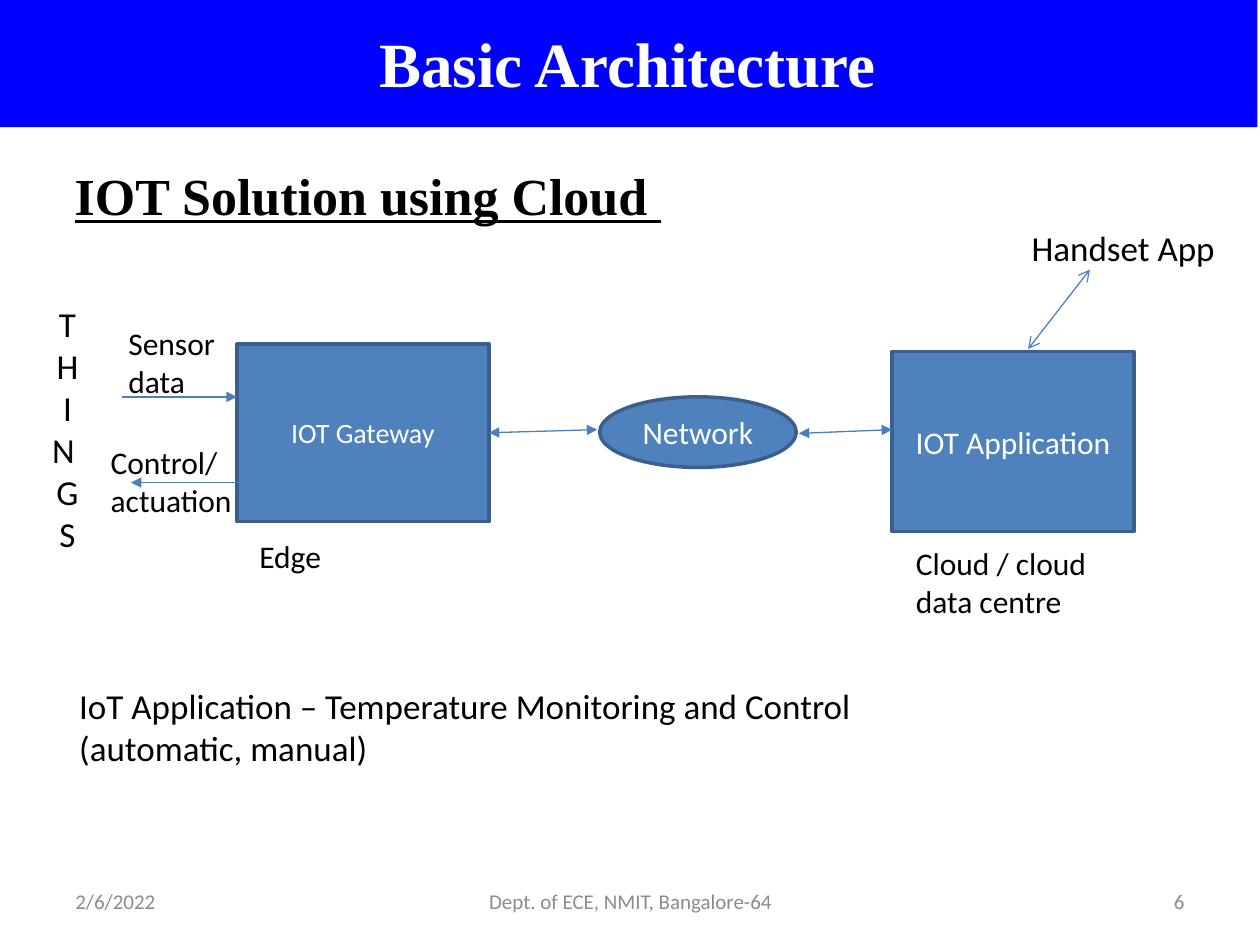
from lxml import etree
from pptx import Presentation
from pptx.dml.color import RGBColor
from pptx.enum import shapes, text
from pptx.oxml.ns import qn
from pptx.util import Inches, Pt

BLUE = RGBColor(0x4F, 0x81, 0xBD)
BLUE_EDGE = RGBColor(0x3A, 0x5F, 0x8C)
ARROW_BLUE = RGBColor(0x4B, 0x7E, 0xBC)
BANNER_BLUE = RGBColor(0x00, 0x00, 0xFF)
WHITE = RGBColor(0xFF, 0xFF, 0xFF)
BLACK = RGBColor(0x00, 0x00, 0x00)
GREY = RGBColor(0x8C, 0x8C, 0x8C)
SERIF, SANS = "Times New Roman", "Calibri"
LEFT, CENTER, RIGHT = text.PP_ALIGN.LEFT, text.PP_ALIGN.CENTER, text.PP_ALIGN.RIGHT
TOP, MIDDLE = text.MSO_ANCHOR.TOP, text.MSO_ANCHOR.MIDDLE
RECT, OVAL = shapes.MSO_SHAPE.RECTANGLE, shapes.MSO_SHAPE.OVAL


def place(sp, box):
    sp.left, sp.top, sp.width, sp.height = (Inches(v) for v in box)


def write(sp, lines, size, color=BLACK, align=LEFT, anchor=TOP, font=SANS, bold=False, wrap=True):
    tf = sp.text_frame
    tf.text = lines
    tf.word_wrap = wrap
    tf.auto_size = text.MSO_AUTO_SIZE.NONE
    tf.vertical_anchor = anchor
    for p in tf.paragraphs:
        p.alignment = align
        p.font.size, p.font.name, p.font.bold = Pt(size), font, bold
        p.font.color.rgb = color


def add_label(slide, box, lines, size, **style):
    sp = slide.shapes.add_textbox(*(Inches(v) for v in box))
    write(sp, lines, size, **style)


def paint_node(sp, name, size):
    sp.fill.solid()
    sp.fill.fore_color.rgb = BLUE
    sp.line.color.rgb = BLUE_EDGE
    sp.line.width = Pt(2)
    write(sp, name, size, WHITE, CENTER, MIDDLE)


def add_node(slide, kind, box, name, size):
    sp = slide.shapes.add_shape(kind, *(Inches(v) for v in box))
    sp.shadow.inherit = False
    paint_node(sp, name, size)


def add_arrow(slide, start, end, tip="triangle", both=True, color=ARROW_BLUE):
    """Line with a tip at its end and, if both, at its start too."""
    cx = slide.shapes.add_connector(shapes.MSO_CONNECTOR.STRAIGHT,
                                    *(Inches(v) for v in (*start, *end)))
    cx.line.color.rgb = color
    cx.line.width = Pt(0.75)
    ln = cx.line._get_or_add_ln()
    for tag in ("a:headEnd", "a:tailEnd") if both else ("a:tailEnd",):
        etree.SubElement(ln, qn(tag), type=tip)
    etree.SubElement(cx._element.spPr, qn("a:effectLst"))
    return cx


def add_banner(slide, box, heading):
    sp = slide.shapes.add_shape(RECT, *(Inches(v) for v in box))
    sp.shadow.inherit = False
    sp.fill.solid()
    sp.fill.fore_color.rgb = BANNER_BLUE
    sp.line.fill.background()
    write(sp, heading, 36, WHITE, CENTER, MIDDLE, SERIF, bold=True)


def set_title(slide, box, heading):
    title = slide.shapes.title
    place(title, box)
    write(title, heading, 29.7, align=CENTER, font=SERIF, bold=True)
    title.text_frame.margin_top = Inches(0.05)
    title.text_frame.paragraphs[0].font.underline = True


def add_things(slide, x, y):
    """Devices at the left, with the signals to and from the gateway."""
    add_label(slide, (x, y, 0.45, 2.12), "T\nH\nI\nN \nG\nS", 20, align=CENTER, wrap=False)
    add_label(slide, (x + 0.61, y + 0.17, 1.09, 0.71), "Sensor data", 18)
    add_label(slide, (x + 0.47, y + 1.12, 1.3, 0.71), "Control/ actuation", 18)
    add_arrow(slide, (x + 1.63, y + 1.48), (x + 0.73, y + 1.48), both=False)
    add_arrow(slide, (x + 0.66, y + 0.8), (x + 1.57, y + 0.8), both=False)


def add_gateway(slide, box):
    x, y, w, h = box
    gateway = slide.placeholders[1]
    place(gateway, box)
    paint_node(gateway, "IOT Gateway", 16)
    pPr = gateway.text_frame.paragraphs[0]._p.get_or_add_pPr()
    pPr.set("marL", "0")
    pPr.set("indent", "0")
    pPr.insert_element_before(etree.Element(qn("a:buNone")), "a:tabLst", "a:defRPr", "a:extLst")
    add_label(slide, (x + 0.08, y + h + 0.07, w - 0.08, 0.4), "Edge", 18)
    return gateway


def add_network(slide, box, gateway, app_side):
    """Network between the gateway and a point on the application's side."""
    x, y, w, h = box
    add_node(slide, OVAL, box, "Network", 18)
    mid = y + h / 2
    link = add_arrow(slide, (x - 0.87, mid), (x - 0.02, mid - 0.02))
    link.begin_connect(gateway, 3)
    add_arrow(slide, (x + w + 0.02, mid + 0.01), app_side)


def add_application(slide, box):
    x, y, w, h = box
    add_node(slide, RECT, box, "IOT Application", 18)
    add_label(slide, (x + 0.09, y + h + 0.05, w, 0.71), "Cloud / cloud data centre", 18)
    add_label(slide, (x + 1.02, y - 1.04, 1.63, 0.44), "Handset App", 20, align=CENTER, wrap=False)
    add_arrow(slide, (x + 1.08, y - 0.02), (x + 1.57, y - 0.65), "arrow", color=BLUE)


def add_footer(slide, top, height):
    for x, w, words, align in ((0.5, 2.33, "2/6/2022", LEFT),
                               (3.42, 3.17, "Dept. of ECE, NMIT, Bangalore-64", CENTER),
                               (7.17, 2.33, "6", RIGHT)):
        add_label(slide, (x, top, w, height), words, 12, color=GREY, align=align, anchor=MIDDLE)


def main():
    prs = Presentation()
    prs.slide_width, prs.slide_height = Inches(10), Inches(7.5)
    slide = prs.slides.add_slide(prs.slide_layouts[1])
    set_title(slide, (-1.58, 1.25, 9, 1.25), "IOT Solution using Cloud ")
    add_footer(slide, 6.95, 0.4)
    gateway = add_gateway(slide, (1.88, 2.73, 2, 1.41))
    add_application(slide, (7.08, 2.79, 1.92, 1.43))
    add_network(slide, (4.76, 3.15, 1.56, 0.56), gateway, (7.08, 3.41))
    add_things(slide, 0.31, 2.35)
    add_label(slide, (0.53, 5.38, 8.38, 0.77),
              "IoT Application – Temperature Monitoring and Control\n(automatic, manual)", 20)
    add_banner(slide, (-0.02, -0.02, 10, 1.03), "Basic Architecture")
    prs.save("out.pptx")


if __name__ == "__main__":
    main()
